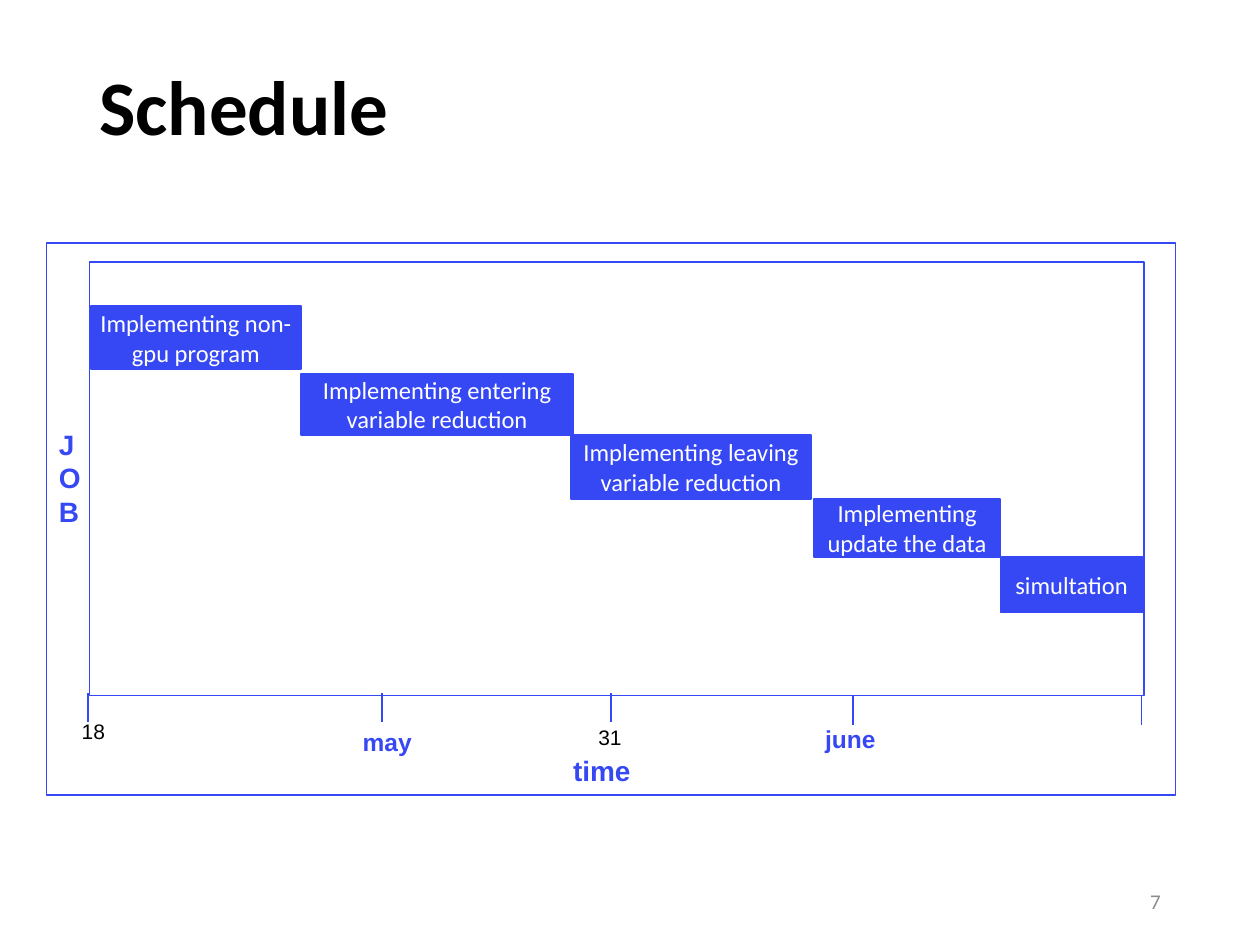
from lxml import etree
from pptx import Presentation
from pptx.dml.color import RGBColor
from pptx.enum import shapes, text
from pptx.oxml.ns import qn
from pptx.util import Inches, Pt

BLUE = RGBColor(0x36, 0x48, 0xF4)
BLACK = RGBColor(0, 0, 0)
WHITE = RGBColor(0xFF, 0xFF, 0xFF)
GRAY = RGBColor(0x8C, 0x8C, 0x8C)

LEFT, MIDDLE, TOP = text.PP_ALIGN.LEFT, text.MSO_ANCHOR.MIDDLE, text.MSO_ANCHOR.TOP

# Job, left, top, width, height
JOBS = [
    ("Implementing non-gpu program", 0.72, 2.43, 1.67, 0.50),
    ("Implementing entering variable reduction", 2.39, 2.97, 2.16, 0.48),
    ("Implementing leaving variable reduction", 4.53, 3.45, 1.91, 0.51),
    ("Implementing update the data", 6.46, 3.96, 1.48, 0.46),
    ("simultation", 7.94, 4.42, 1.13, 0.44),
]

# Tick position and top along the time axis
TICKS = [(0.7, 5.5), (3.03, 5.5), (4.85, 5.5), (6.77, 5.52), (9.06, 5.52)]
TICK_LENGTH = 0.23

# Label, box, size, colour, bold
AXIS_LABELS = [
    ("time", (4.45, 5.93, 0.68, 0.37), 16, BLUE, True),
    ("J\nO\nB", (0.37, 3.34, 0.37, 0.91), 16, BLUE, True),
    ("may", (2.78, 5.72, 0.59, 0.34), 14, BLUE, True),
    ("june", (6.45, 5.70, 0.60, 0.34), 14, BLUE, True),
    ("18", (0.55, 5.65, 0.39, 0.30), 12, BLACK, False),
    ("31", (4.65, 5.70, 0.39, 0.30), 12, BLACK, False),
]


def write(frame, words, size, color, font="Calibri", bold=False, align=LEFT, anchor=TOP):
    frame.vertical_anchor = anchor
    for index, line in enumerate(words.split("\n")):
        para = frame.add_paragraph() if index else frame.paragraphs[0]
        para.alignment = align
        span = para.add_run()
        span.text = line
        span.font.name = font
        span.font.size = Pt(size)
        span.font.bold = bold
        span.font.color.rgb = color


def add_label(page, place, words, size, color, wrap=False, **style):
    box = page.shapes.add_textbox(*map(Inches, place))
    box.text_frame.word_wrap = wrap
    write(box.text_frame, words, size, color, **style)
    return box


def add_rectangle(page, place, filled):
    box = page.shapes.add_shape(shapes.MSO_SHAPE.RECTANGLE, *map(Inches, place))
    box.shadow.inherit = False
    box.line.color.rgb = BLUE
    box.line.width = Pt(1)
    if filled:
        box.fill.solid()
        box.fill.fore_color.rgb = BLUE
    else:
        box.fill.background()
    return box


def add_job(page, words, *place):
    frame = add_rectangle(page, place, True).text_frame
    frame.word_wrap = True
    frame.margin_left = frame.margin_right = Inches(0.05)
    frame.margin_top = frame.margin_bottom = 0
    write(frame, words, 14, WHITE, align=text.PP_ALIGN.CENTER, anchor=MIDDLE)


def add_tick(page, x, top):
    tick = page.shapes.add_connector(
        shapes.MSO_CONNECTOR.STRAIGHT,
        Inches(x), Inches(top), Inches(x), Inches(top + TICK_LENGTH))
    tick.line.color.rgb = BLUE
    tick.line.width = Pt(1)
    etree.SubElement(tick.line._get_or_add_ln().getparent(), qn("a:effectLst"))


def main():
    deck = Presentation()
    deck.slide_width, deck.slide_height = Inches(10), Inches(7.5)
    page = deck.slides.add_slide(deck.slide_layouts[6])

    # Title and page number
    title = add_label(page, (0.69, 0.39, 8.62, 0.98), "Schedule", 44, BLACK,
                      wrap=True, bold=True, anchor=MIDDLE)
    title.text_frame.paragraphs[0].line_spacing = 0.9
    add_label(page, (7.06, 6.95, 2.25, 0.4), "7", 12, GRAY,
              wrap=True, align=text.PP_ALIGN.RIGHT, anchor=MIDDLE)

    # Job bars
    for job in JOBS:
        add_job(page, *job)

    # Plot area and outer frame
    add_rectangle(page, (0.71, 2.08, 8.37, 3.44), False)
    add_rectangle(page, (0.37, 1.93, 8.96, 4.38), False)

    # Time axis
    for x, top in TICKS:
        add_tick(page, x, top)
    for words, place, size, color, bold in AXIS_LABELS:
        add_label(page, place, words, size, color, font="Arial", bold=bold)

    deck.save("out.pptx")


if __name__ == "__main__":
    main()
